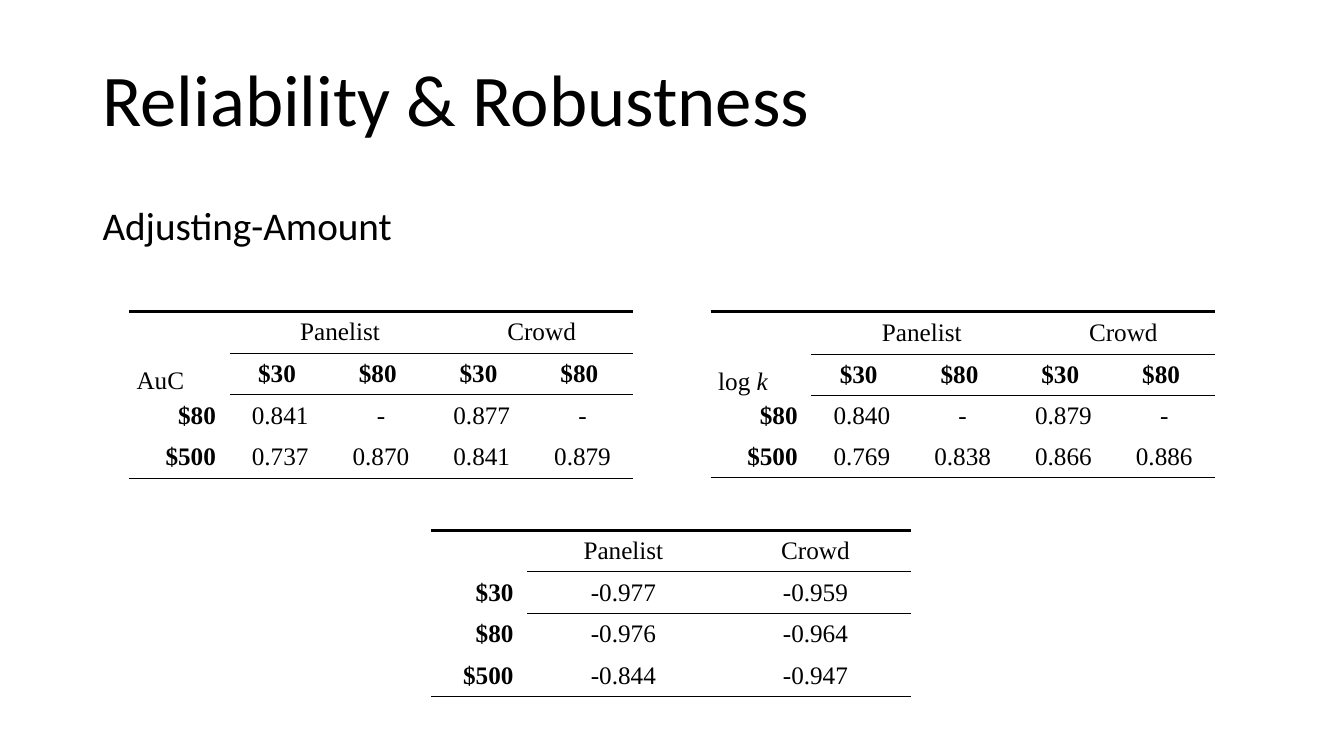
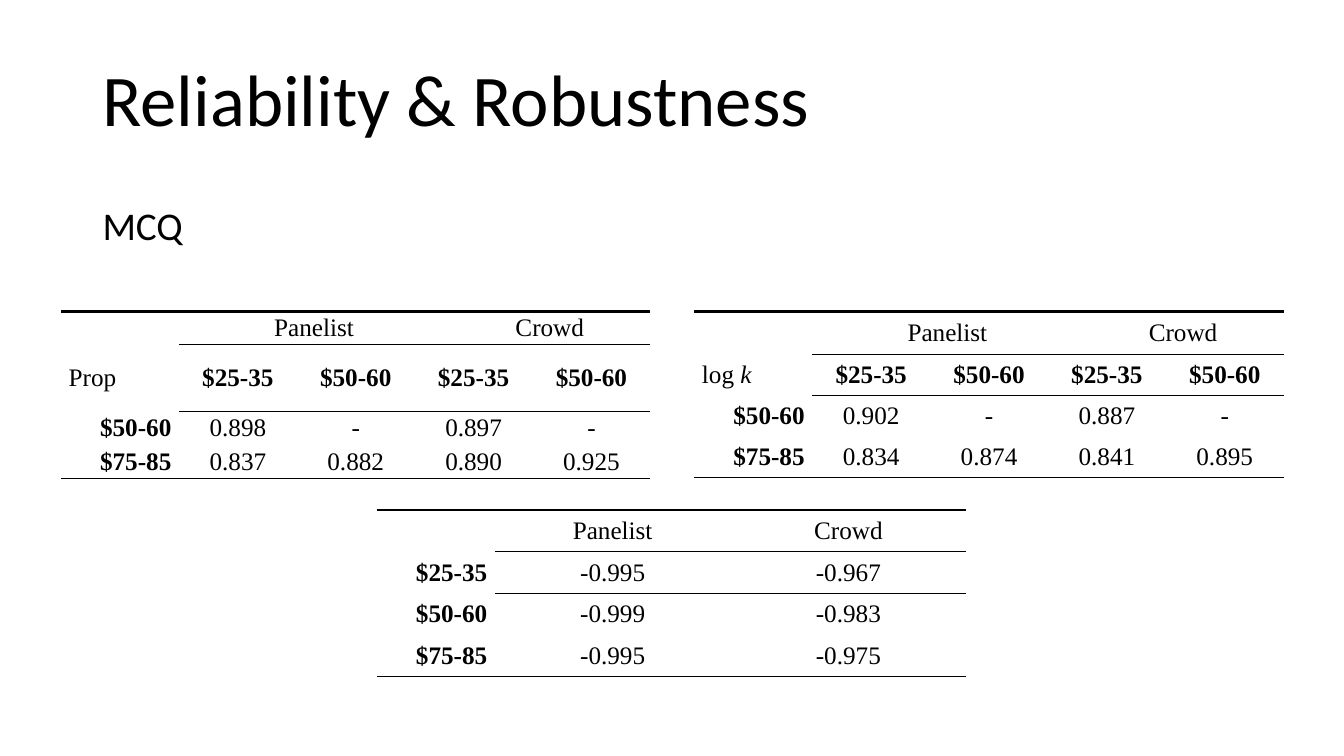
from dataclasses import dataclass

from lxml.etree import SubElement
from pptx import Presentation
from pptx.dml.color import RGBColor
from pptx.enum.text import MSO_ANCHOR, MSO_AUTO_SIZE, PP_ALIGN
from pptx.oxml.ns import qn
from pptx.slide import Slide, SlideLayout
from pptx.table import _Cell
from pptx.text.text import TextFrame
from pptx.util import Cm, Pt

BLACK = RGBColor(0, 0, 0)
HEADING_FONT = "Calibri"
TABLE_FONT = "Times New Roman"
PLAIN_TABLE_STYLE = "{2D5ABB26-0587-4C30-8999-92F81FD0307C}"
THICK, THIN = 2.25, 1
CELL_MARGIN = 0.19
PLATFORMS = ("Panelist", "Crowd")
EVEN_ROWS = (1.05, 1.05, 1.05, 1.05)
TALL_HEADER = (1.09, 1.03, 1.03, 1.03)
TALL_LABELS = (0.84, 1.68, 0.84, 0.84)


@dataclass(frozen=True)
class ResultTable:
    """A table of correlations; grouped tables have two amounts per platform."""

    left: float
    top: float
    unit: float
    row_heights: tuple[float, ...]
    values: tuple[tuple[str, ...], ...]
    corner: str = ""

    @property
    def grouped(self) -> bool:
        """Tell whether each platform spans two columns."""
        return bool(self.corner)


@dataclass(frozen=True)
class ResultSlide:
    """A slide of reliability results for one task."""

    task: str
    body_height: float
    amounts: tuple[str, str, str]
    label_gap: float
    group_gap: float
    corner_anchor: MSO_ANCHOR
    tables: tuple[ResultTable, ...]


SLIDES = (
    ResultSlide(
        "Adjusting-Amount", 12.09, ("$30", "$80", "$500"), 0.16, 0.48, MSO_ANCHOR.BOTTOM,
        (
            ResultTable(3.25, 7.85, 2.54, EVEN_ROWS,
                        (("0.841", "-", "0.877", "-"),
                         ("0.737", "0.870", "0.841", "0.879")), "AuC"),
            ResultTable(17.91, 7.85, 2.54, TALL_HEADER,
                        (("0.840", "-", "0.879", "-"),
                         ("0.769", "0.838", "0.866", "0.886")), "log *k*"),
            ResultTable(10.87, 13.36, 2.42, EVEN_ROWS,
                        (("-0.977", "-0.959"), ("-0.976", "-0.964"), ("-0.844", "-0.947"))),
        ),
    ),
    ResultSlide(
        "MCQ", 1.98, ("$25-35", "$50-60", "$75-85"), 0, 0.87, MSO_ANCHOR.MIDDLE,
        (
            ResultTable(1.54, 7.85, 2.97, TALL_LABELS,
                        (("0.898", "-", "0.897", "-"),
                         ("0.837", "0.882", "0.890", "0.925")), "Prop"),
            ResultTable(17.5, 7.85, 2.97, TALL_HEADER,
                        (("0.902", "-", "0.887", "-"),
                         ("0.834", "0.874", "0.841", "0.895")), "log *k*"),
            ResultTable(9.5, 12.85, 2.97, EVEN_ROWS,
                        (("-0.995", "-0.967"), ("-0.999", "-0.983"), ("-0.995", "-0.975"))),
        ),
    ),
)


def write_text(frame: TextFrame, text: str, *, font: str, size: float, bold: bool = False,
               align: PP_ALIGN = PP_ALIGN.LEFT, line_spacing: float = 1.0,
               space_before: float = 0) -> None:
    """Write one paragraph, with text between asterisks in italics."""
    paragraph = frame.paragraphs[0]
    paragraph.alignment = align
    paragraph.line_spacing = line_spacing
    paragraph.space_before = Pt(space_before)
    for index, part in enumerate(text.split("*")):
        if part:
            run = paragraph.add_run()
            run.text = part
            run.font.name = font
            run.font.size = Pt(size)
            run.font.bold = bold
            run.font.italic = index % 2 == 1
            run.font.color.rgb = BLACK


def add_border(cell: _Cell, side: str, width: float) -> None:
    """Draw a solid black line on one side of a cell."""
    line = SubElement(cell._tc.get_or_add_tcPr(), qn(f"a:{side}"), w=str(Pt(width)))
    fill = SubElement(line, qn("a:solidFill"))
    SubElement(fill, qn("a:srgbClr"), val=str(BLACK))


def add_heading(slide: Slide, index: int, text: str, top: float, height: float,
                anchor: MSO_ANCHOR, size: float, space_before: float = 0) -> None:
    """Place and fill a title or body placeholder without a bullet."""
    shape = slide.placeholders[index]
    shape.left, shape.top = Cm(2.33), Cm(top)
    shape.width, shape.height = Cm(29.21), Cm(height)
    frame = shape.text_frame
    frame.word_wrap = True
    frame.auto_size = MSO_AUTO_SIZE.NONE
    frame.vertical_anchor = anchor
    write_text(frame, text, font=HEADING_FONT, size=size, line_spacing=0.9,
               space_before=space_before)
    properties = frame.paragraphs[0]._p.get_or_add_pPr()
    properties.set("marL", "0")
    properties.set("indent", "0")
    SubElement(properties, qn("a:buNone"))


def table_rows(table: ResultTable, amounts: tuple[str, str, str]) -> list[list[str]]:
    """Combine the headings, row labels and values of a table."""
    if table.grouped:
        first, second = PLATFORMS
        headings = [["", first, "", second, ""], [table.corner, *amounts[:2] * 2]]
    else:
        headings = [["", *PLATFORMS]]
    labels = amounts[-len(table.values):]
    return headings + [[label, *values] for label, values in zip(labels, table.values)]


def add_result_table(slide: Slide, table: ResultTable, content: ResultSlide) -> None:
    """Add a table ruled above, below its platform names and at its foot."""
    rows = table_rows(table, content.amounts)
    column_count = len(rows[0])
    column_units = [1] + [1 if table.grouped else 2] * (column_count - 1)
    frame = slide.shapes.add_table(
        len(rows), column_count, Cm(table.left), Cm(table.top),
        Cm(table.unit * sum(column_units)), Cm(sum(table.row_heights)))
    grid = frame.table
    grid.first_row = grid.horz_banding = False
    grid._tbl.tblPr.find(qn("a:tableStyleId")).text = PLAIN_TABLE_STYLE
    for column, units in zip(grid.columns, column_units):
        column.width = Cm(table.unit * units)
    for row, height in zip(grid.rows, table.row_heights):
        row.height = Cm(height)
    if table.grouped:
        for start in (1, 3):
            grid.cell(0, start).merge(grid.cell(0, start + 1))

    for row_index, texts in enumerate(rows):
        for column_index, text in enumerate(texts):
            cell = grid.cell(row_index, column_index)
            is_corner = bool(text) and text == table.corner
            is_amount = text in content.amounts
            is_group = table.grouped and row_index == 0
            cell.margin_top = cell.margin_bottom = 0
            cell.margin_left = Cm(CELL_MARGIN + content.group_gap * is_group)
            cell.margin_right = Cm(CELL_MARGIN + content.label_gap * is_amount)
            cell.vertical_anchor = content.corner_anchor if is_corner else MSO_ANCHOR.MIDDLE
            if row_index == 0:
                add_border(cell, "lnT", THICK)
            elif row_index == 1 and column_index:
                add_border(cell, "lnT", THIN)
            if row_index == len(rows) - 1 or (row_index == 0 and column_index):
                add_border(cell, "lnB", THIN)
            cell.fill.background()
            if is_corner:
                align = PP_ALIGN.LEFT
            else:
                align = PP_ALIGN.CENTER if column_index else PP_ALIGN.RIGHT
            write_text(cell.text_frame, text, font=TABLE_FONT, size=18,
                       bold=is_amount, align=align)


def add_result_slide(presentation: Presentation, layout: SlideLayout,
                     content: ResultSlide) -> None:
    """Add one slide with its title, task name and tables."""
    slide = presentation.slides.add_slide(layout)
    add_heading(slide, 0, "Reliability & Robustness", 0.51, 4.19, MSO_ANCHOR.MIDDLE, 52)
    add_heading(slide, 1, content.task, 5.08, content.body_height, MSO_ANCHOR.TOP, 28,
                space_before=10)
    for table in content.tables:
        add_result_table(slide, table, content)


def main() -> None:
    """Build and save the presentation."""
    presentation = Presentation()
    presentation.slide_width, presentation.slide_height = Cm(33.87), Cm(19.05)
    layout = presentation.slide_layouts.get_by_name("Title and Content")
    for content in SLIDES:
        add_result_slide(presentation, layout, content)
    presentation.save("out.pptx")


if __name__ == "__main__":
    main()
